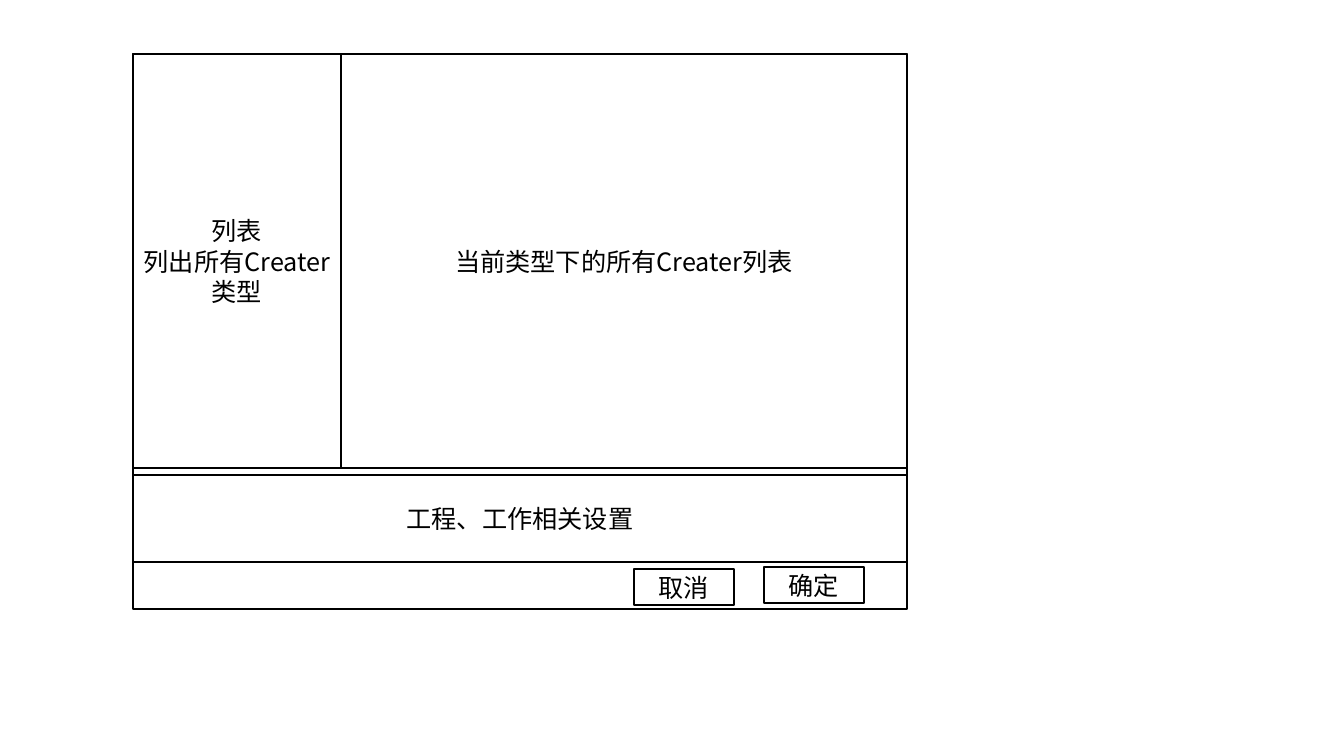
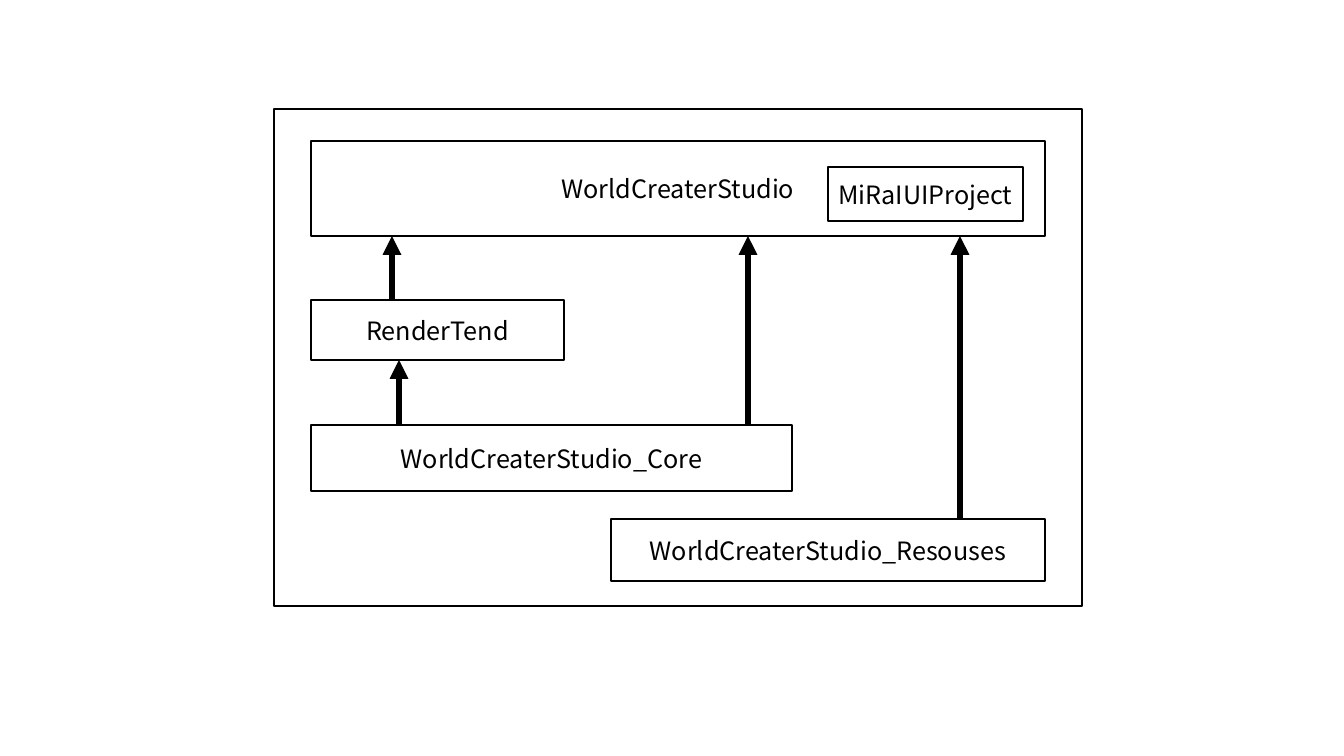
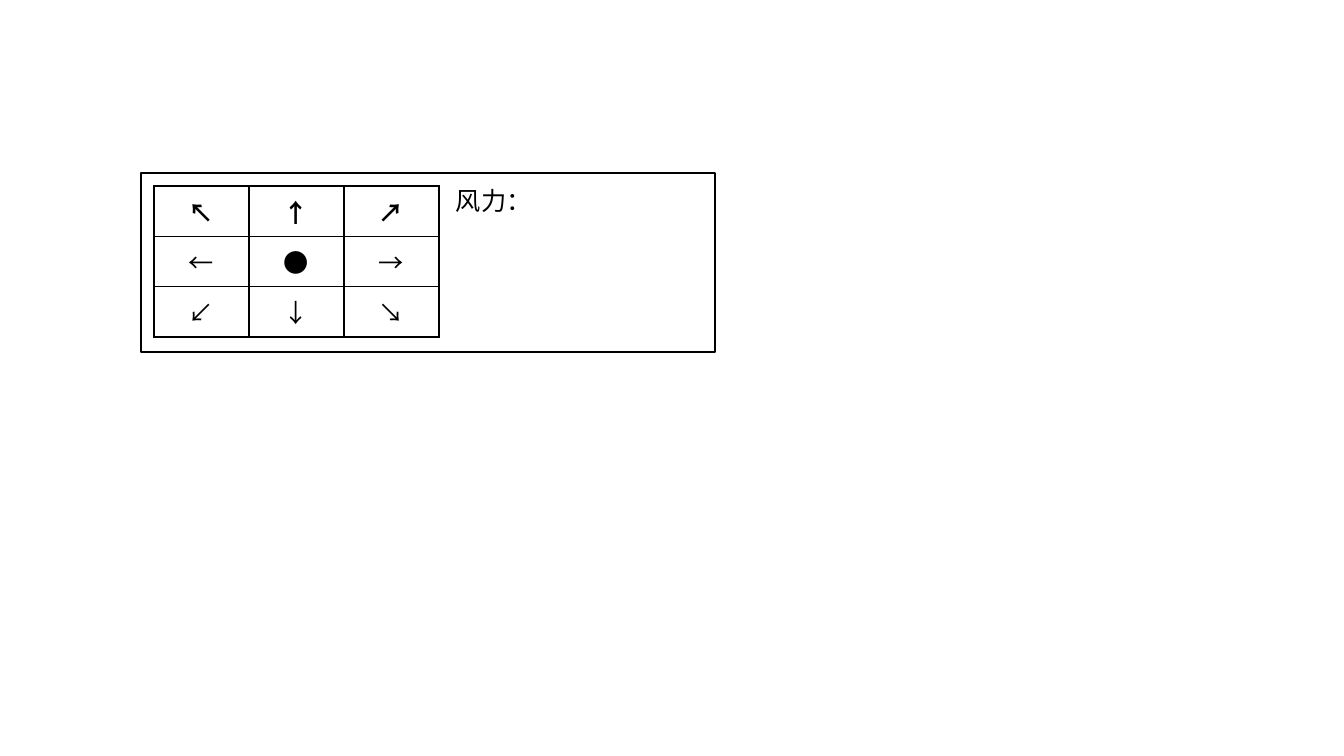
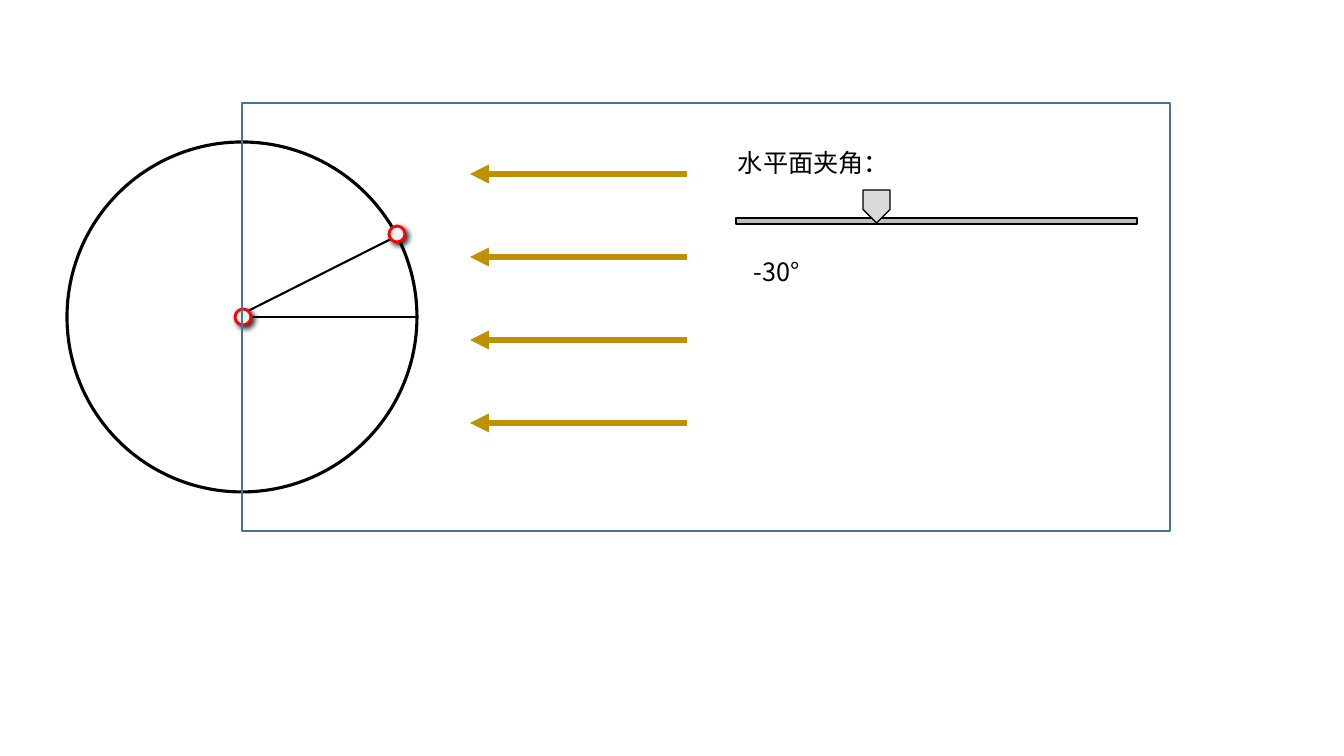
import lxml.etree
import pptx
import pptx.dml.color
import pptx.enum.shapes
import pptx.enum.text
import pptx.oxml.ns
import pptx.util

PX = 914400 / 100.8
FONT = "Noto Sans CJK SC"
BLACK, WHITE, GOLD, BLUE, RED = "000000", "FFFFFF", "BF9000", "43739E", "FF0000"
RECT = pptx.enum.shapes.MSO_SHAPE.RECTANGLE
OVAL = pptx.enum.shapes.MSO_SHAPE.OVAL
PENTAGON = pptx.enum.shapes.MSO_SHAPE.PENTAGON
STRAIGHT = pptx.enum.shapes.MSO_CONNECTOR.STRAIGHT
CENTER = pptx.enum.text.PP_ALIGN.CENTER
LEFT = pptx.enum.text.PP_ALIGN.LEFT

rgb = pptx.dml.color.RGBColor.from_string
qn = pptx.oxml.ns.qn
xml = lxml.etree.SubElement


def write(frame, text, align=CENTER, size=18, color=BLACK, bold=False):
    """Fill a text frame, one paragraph per line of text."""
    frame.text = text
    for paragraph in frame.paragraphs:
        paragraph.alignment = align
        font = paragraph.runs[0].font
        font.name, font.size, font.bold = FONT, pptx.util.Pt(size), bold
        font.color.rgb = rgb(color)
        xml(font._element, qn("a:ea"), typeface=FONT)


def draw(slide, kind, at, line=BLACK, width=1, fill=None, arrow=False):
    """Add a shape (left, top, width, height) or a line (x1, y1, x2, y2) in pixels."""
    lengths = [round(n * PX) for n in at]
    if kind == STRAIGHT and isinstance(kind, pptx.enum.shapes.MSO_CONNECTOR):
        item = slide.shapes.add_connector(kind, *lengths)
    else:
        item = slide.shapes.add_shape(kind, *lengths)
        item.shadow.inherit = False
        if fill:
            item.fill.solid()
            item.fill.fore_color.rgb = rgb(fill)
        else:
            item.fill.background()
    item.line.color.rgb = rgb(line)
    item.line.width = pptx.util.Pt(width)
    properties = item._element.spPr
    if arrow:
        xml(properties.find(qn("a:ln")), qn("a:tailEnd"), type="triangle")
    if properties.find(qn("a:effectLst")) is None:
        xml(properties, qn("a:effectLst"))
    return item


deck = pptx.Presentation()
deck.slide_width, deck.slide_height = round(1344 * PX), round(756 * PX)
dialog, modules, wind, light = [
    deck.slides.add_slide(deck.slide_layouts[6]) for _ in range(4)]

# Slide 1: dialog for choosing a creater
draw(dialog, RECT, (133, 54, 774, 555), fill=WHITE)
for text, at in [
    ("列表\n列出所有Creater类型", (133, 54, 208, 414)),
    ("当前类型下的所有Creater列表", (341, 54, 566, 414)),
    ("工程、工作相关设置", (133, 475, 774, 87)),
    ("取消", (634, 569, 100, 36)),
    ("确定", (764, 567, 100, 36)),
]:
    write(draw(dialog, RECT, at).text_frame, text)

# Slide 2: dependencies between modules
draw(modules, RECT, (274, 109, 808, 497), fill=WHITE)
for text, at in [
    ("WorldCreaterStudio", (311, 141, 734, 95)),
    ("WorldCreaterStudio_Core", (311, 425, 481, 66)),
    ("WorldCreaterStudio_Resouses", (611, 519, 434, 62)),
    ("RenderTend", (311, 300, 253, 60)),
    ("MiRaIUIProject", (828, 167, 195, 54)),
]:
    write(draw(modules, RECT, at, fill=WHITE).text_frame, text)
for x, start, end in [(399, 425, 360), (960, 519, 236), (392, 300, 236), (748, 425, 236)]:
    draw(modules, STRAIGHT, (x, start, x, end), width=4.5, arrow=True)

# Slide 3: wind direction and strength
compass = wind.shapes.add_table(
    3, 3, *[round(n * PX) for n in (154, 186, 285, 151)]).table
compass.first_row = compass.horz_banding = False
for row, directions in enumerate(["↖↑↗", "←●→", "↙↓↘"]):
    for column, direction in enumerate(directions):
        cell = compass.cell(row, column)
        write(cell.text_frame, direction, bold=row == 0)
        cell.vertical_anchor = pptx.enum.text.MSO_ANCHOR.MIDDLE
        for side in ("a:lnL", "a:lnR", "a:lnT", "a:lnB"):
            border = xml(cell._tc.get_or_add_tcPr(), qn(side), w="12700")
            xml(xml(border, qn("a:solidFill")), qn("a:srgbClr"), val=BLACK)
        cell.fill.background()
draw(wind, RECT, (141, 173, 574, 179))

# Slide 4: angle of the light
draw(light, RECT, (736, 218, 401, 6), width=1.5, fill="BFBFBF")
draw(light, OVAL, (67, 142, 350, 350), width=2.25)
for ray in range(4):
    y = 174 + 83 * ray
    draw(light, STRAIGHT, (687, y, 470, y), line=GOLD, width=4.5, arrow=True)
for radius in [(242, 317, 417, 317), (248, 311, 391, 239)]:
    draw(light, STRAIGHT, radius, width=1.5)
for left, top in [(235, 309), (389, 226)]:
    handle = draw(light, OVAL, (left, top, 16, 16), line=RED, width=2, fill="F2F2F2")
    shadow = xml(handle._element.spPr.find(qn("a:effectLst")), qn("a:outerShdw"),
                 blurRad="50800", dist="38100", dir="2700000", algn="tl")
    xml(xml(shadow, qn("a:srgbClr"), val=BLACK), qn("a:alpha"), val="80000")
draw(light, RECT, (242, 103, 928, 428), line=BLUE)
slider = draw(light, PENTAGON, (860, 193, 33, 27), fill="D9D9D9")
slider.rotation = 90

# Labels of slides 3 and 4
for slide, text, at in [
    (wind, "风力：", (446, 180, 97, 40)),
    (light, "水平面夹角：", (728, 142, 173, 40)),
    (light, "-30°", (744, 251, 70, 40)),
]:
    label = slide.shapes.add_textbox(*[round(n * PX) for n in at]).text_frame
    label.word_wrap = False
    label.auto_size = pptx.enum.text.MSO_AUTO_SIZE.SHAPE_TO_FIT_TEXT
    write(label, text, align=LEFT)

deck.save("out.pptx")
